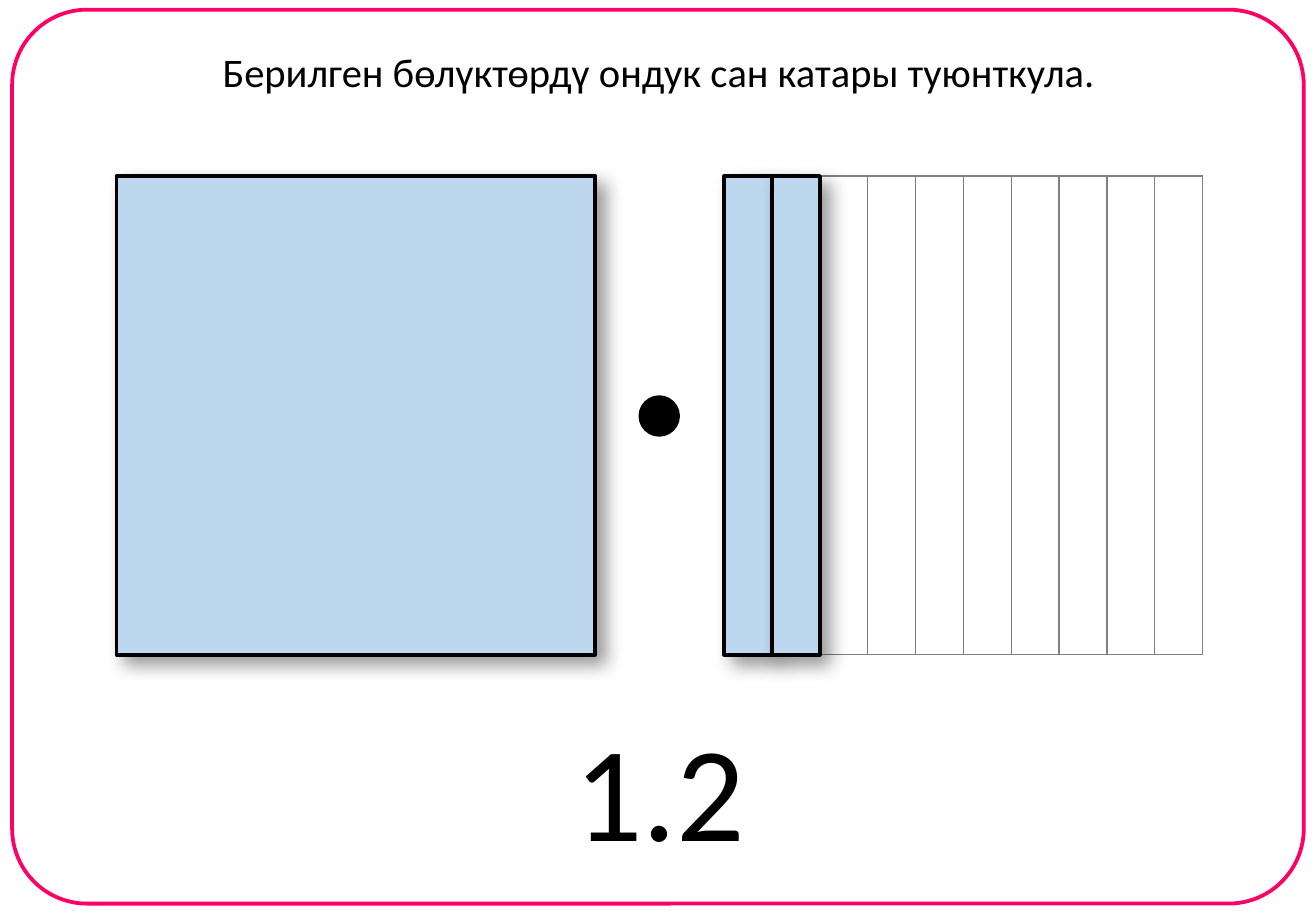
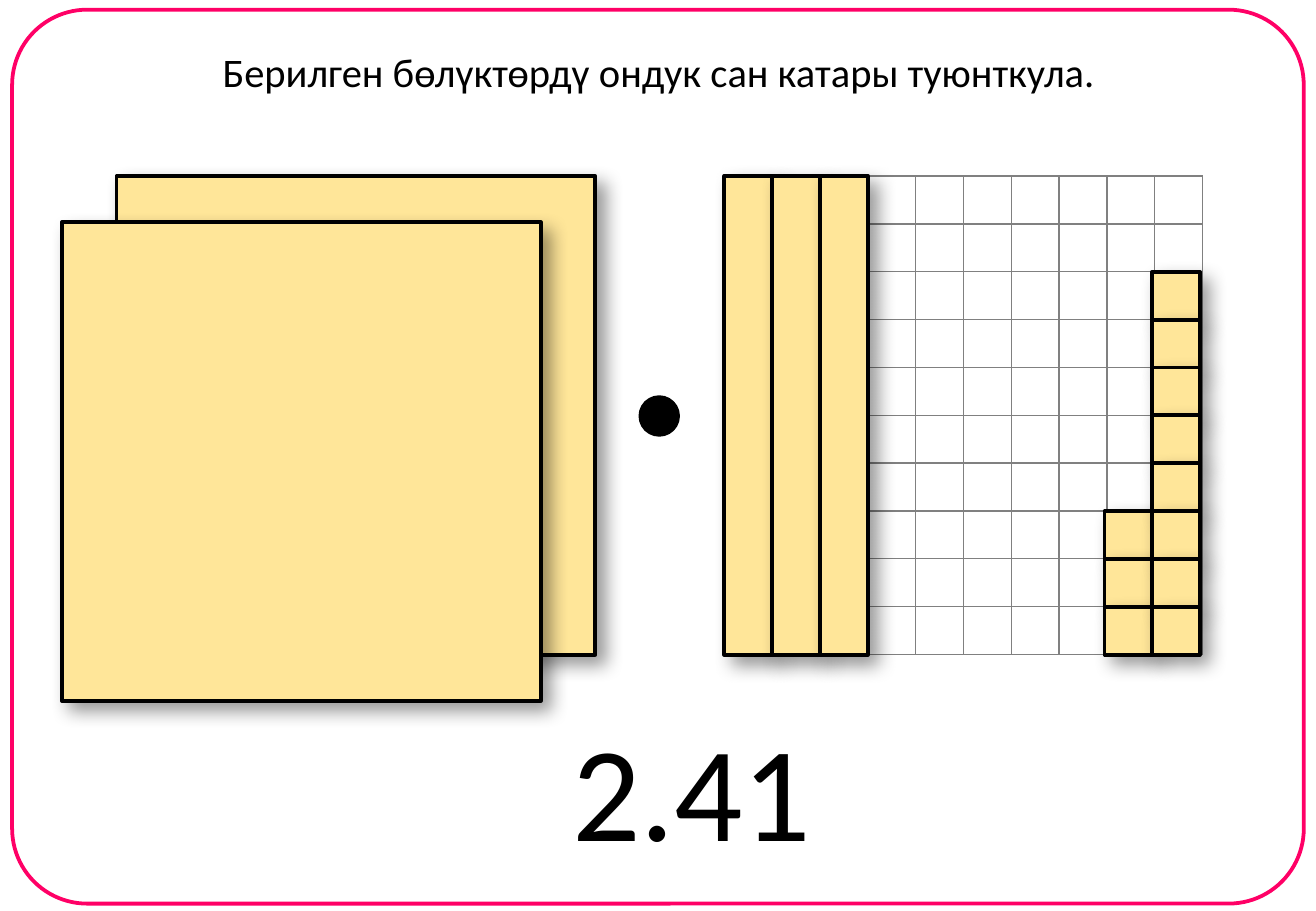
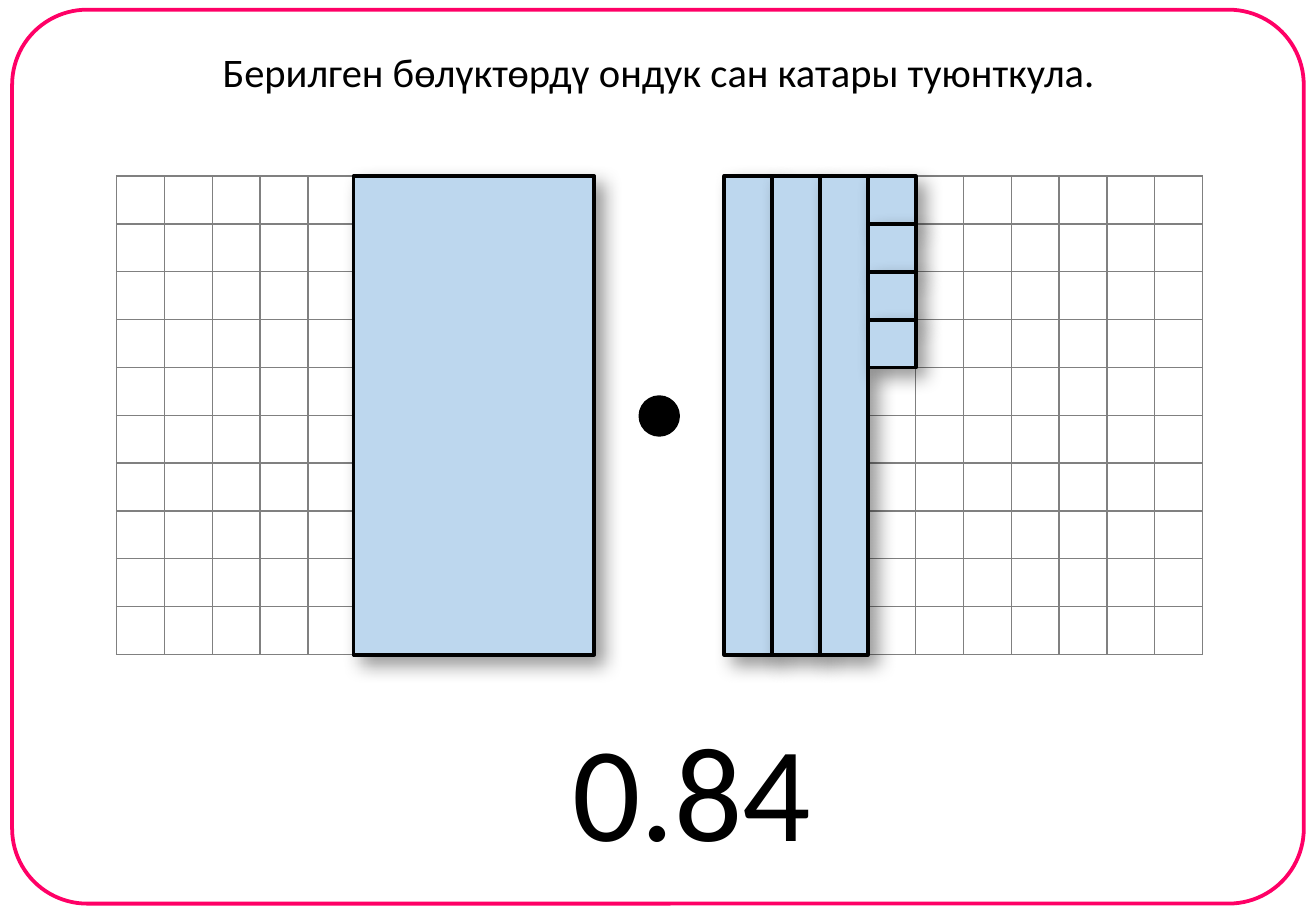
import pptx
import pptx.dml.color
import pptx.enum.shapes
import pptx.enum.text
import pptx.oxml
import pptx.oxml.ns
import pptx.util

Inches = pptx.util.Inches
Pt = pptx.util.Pt
SHAPES = pptx.enum.shapes.MSO_SHAPE

COLOURS = {
    "frame": "FF0066",
    "ink": "000000",
    "paper": "FFFFFF",
    "grid": "808080",
    "blue": "BDD7EE",
    "yellow": "FFE699",
}
FONT = "Calibri"
TITLE = "Берилген бөлүктөрдү ондук сан катары туюнткула."

PARTS = 10
SIDE = 3.94
CELL = SIDE / PARTS
TOP = 1.45
WHOLE_LEFT = 0.96
PARTS_LEFT = 5.96

NAMESPACE = pptx.oxml.ns.nsdecls("a")
SHADOW = (
    f'<a:outerShdw {NAMESPACE} blurRad="{Pt(11)}" dist="{Pt(7)}" dir="2700000" '
    'algn="tl" rotWithShape="0">'
    f'<a:srgbClr val="{COLOURS["ink"]}"><a:alpha val="40000"/></a:srgbClr>'
    '</a:outerShdw>'
)


def rgb(name):
    return pptx.dml.color.RGBColor.from_string(COLOURS[name])


def inches(*lengths):
    return [Inches(length) for length in lengths]


class DecimalCards:
    """Holds the presentation, the current slide and its piece colour."""

    def __init__(self):
        self.presentation = pptx.Presentation()
        self.presentation.slide_width = Inches(10.83)
        self.presentation.slide_height = Inches(7.5)

    def start_card(self, colour):
        layout = self.presentation.slide_layouts[6]
        self.slide = self.presentation.slides.add_slide(layout)
        self.colour = colour
        frame = self.shape(SHAPES.ROUNDED_RECTANGLE, 0.1, 0.08, 10.63, 7.36, None, "frame")
        frame.adjustments[0] = 0.084
        self.text(TITLE, 1.69, 0.34, 7.46, 0.5, 24)

    def shape(self, kind, left, top, width, height, fill, line="ink"):
        shape = self.slide.shapes.add_shape(kind, *inches(left, top, width, height))
        shape.shadow.inherit = False
        if fill:
            shape.fill.solid()
            shape.fill.fore_color.rgb = rgb(fill)
        else:
            shape.fill.background()
        shape.line.color.rgb = rgb(line)
        shape.line.width = Pt(2.25)
        return shape

    def text(self, words, left, top, width, height, size):
        box = self.slide.shapes.add_textbox(*inches(left, top, width, height))
        frame = box.text_frame
        frame.word_wrap = False
        frame.auto_size = pptx.enum.text.MSO_AUTO_SIZE.SHAPE_TO_FIT_TEXT
        paragraph = frame.paragraphs[0]
        paragraph.alignment = pptx.enum.text.PP_ALIGN.CENTER
        run = paragraph.add_run()
        run.text = words
        for name, value in {"name": FONT, "size": Pt(size)}.items():
            setattr(run.font, name, value)
        run.font.color.rgb = rgb("ink")

    def grid(self, left, merged_from=PARTS):
        """Draw a ten by ten table; columns from merged_from on are undivided."""
        table = self.slide.shapes.add_table(
            PARTS, PARTS, *inches(left, TOP, SIDE, SIDE)).table
        table.first_row = table.horz_banding = False
        for column in table.columns:
            column.width = Inches(CELL)
        for row in table.rows:
            row.height = Inches(CELL)
        for cell in table.iter_cells():
            self.style_cell(cell)
        for column in range(merged_from, PARTS):
            table.cell(0, column).merge(table.cell(PARTS - 1, column))

    def style_cell(self, cell):
        for side in ("left", "right", "top", "bottom"):
            setattr(cell, f"margin_{side}", 0)
        properties = cell._tc.get_or_add_tcPr()
        for edge in ("lnL", "lnR", "lnT", "lnB"):
            properties.append(pptx.oxml.parse_xml(
                f'<a:{edge} {NAMESPACE} w="{Pt(1)}"><a:solidFill>'
                f'<a:srgbClr val="{COLOURS["grid"]}"/></a:solidFill></a:{edge}>'))
        cell.fill.solid()
        cell.fill.fore_color.rgb = rgb("paper")

    def piece(self, left, top=TOP, width=CELL, height=SIDE):
        shape = self.shape(SHAPES.RECTANGLE, left, top, width, height, self.colour)
        effects = shape._element.spPr.find(pptx.oxml.ns.qn("a:effectLst"))
        effects.append(pptx.oxml.parse_xml(SHADOW))

    def tenths(self, count):
        for column in range(count):
            self.piece(PARTS_LEFT + column * CELL)

    def hundredths(self, left, first_row, count):
        for row in range(first_row, first_row + count):
            self.piece(left, TOP + row * CELL, height=CELL)

    def decimal_point(self):
        self.shape(SHAPES.OVAL, 5.27, 3.27, 0.31, 0.31, "ink")

    def answer(self, number, left, width):
        self.text(number, left, 5.77, width, 1.45, 80)


def main():
    cards = DecimalCards()

    cards.start_card("blue")
    cards.grid(PARTS_LEFT, merged_from=2)
    cards.piece(WHOLE_LEFT, width=SIDE)
    cards.tenths(2)
    cards.decimal_point()
    cards.answer("1.2", 4.62, 1.62)

    cards.start_card("yellow")
    cards.grid(PARTS_LEFT)
    cards.piece(WHOLE_LEFT, width=SIDE)
    cards.tenths(3)
    cards.decimal_point()
    cards.answer("2.41", 4.6, 2.19)
    cards.hundredths(9.09, 7, 3)
    cards.hundredths(9.48, 2, 8)
    cards.piece(0.51, 1.83, width=SIDE)

    cards.start_card("blue")
    cards.grid(WHOLE_LEFT)
    cards.grid(PARTS_LEFT)
    cards.tenths(3)
    cards.hundredths(PARTS_LEFT + 3 * CELL, 0, 4)
    cards.decimal_point()
    cards.answer("0.84", 4.6, 2.19)
    cards.piece(2.91, width=1.98)

    cards.presentation.save("out.pptx")


if __name__ == "__main__":
    main()
